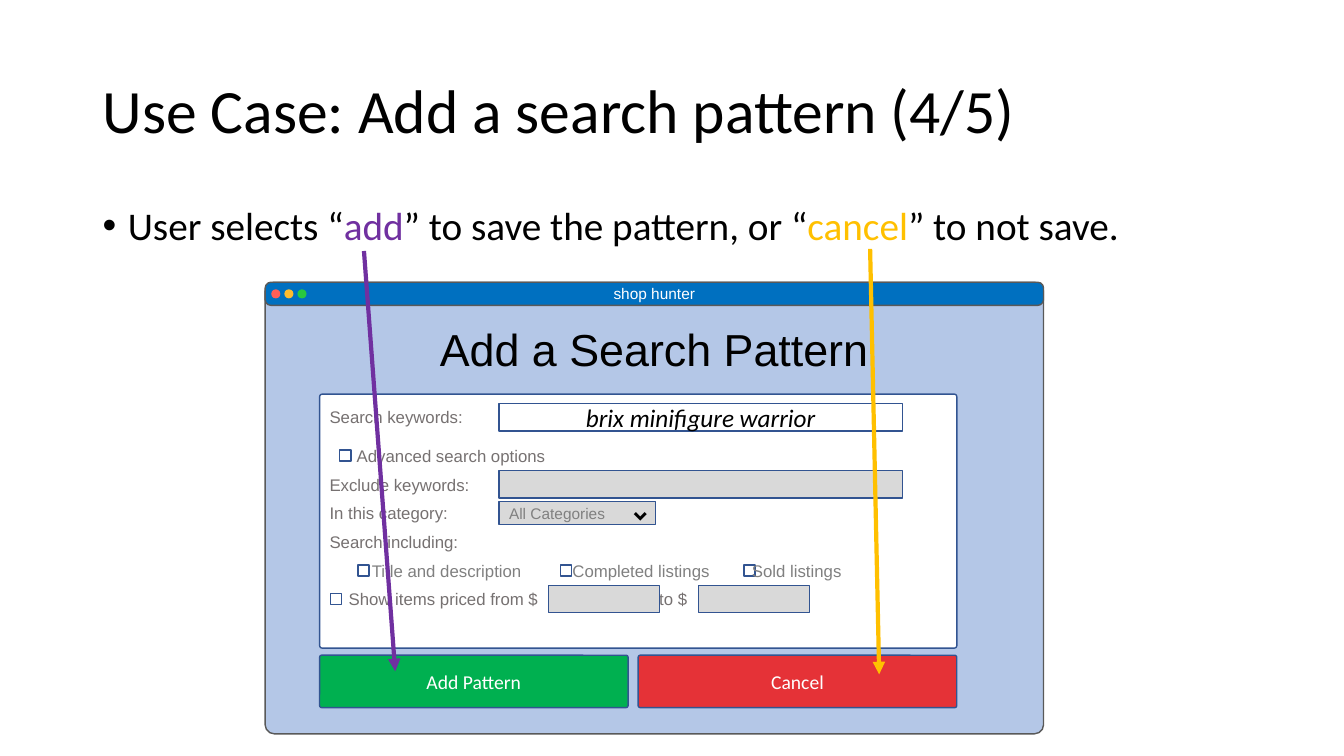
from dataclasses import dataclass

from pptx import Presentation
from pptx import util as u
from pptx.dml.color import RGBColor
from pptx.enum import shapes, text
from pptx.oxml.ns import qn
from lxml import etree

RECT = shapes.MSO_SHAPE.RECTANGLE
ROUND = shapes.MSO_SHAPE.ROUNDED_RECTANGLE
OVAL = shapes.MSO_SHAPE.OVAL
MID, TOP = text.MSO_ANCHOR.MIDDLE, text.MSO_ANCHOR.TOP
LEFT, CENTER = text.PP_ALIGN.LEFT, text.PP_ALIGN.CENTER


@dataclass
class Theme:
    # Colours
    black: str = "000000"
    white: str = "FFFFFF"
    violet: str = "7030A0"
    amber: str = "FFC000"
    pane: str = "B4C7E7"
    bar: str = "0070C0"
    frame: str = "595959"
    edge: str = "325491"
    green: str = "00B050"
    red: str = "E53237"
    off: str = "D9D9D9"
    label: str = "767171"
    hint: str = "808080"
    dots: tuple = ("FF5F57", "FFBC2E", "28C840")
    # Type
    main: str = "Calibri"
    form: str = "Arial"
    title: int = 44
    body: int = 28
    head: int = 32
    entry: int = 18
    button: int = 14
    field: int = 12
    small: int = 11


def cell(n):
    """Length of n grid cells; ten cells make an inch."""
    return u.Inches(n / 10)


def write(frame, runs, size, color, font="Calibri", align=LEFT, anchor=MID,
          italic=False, lead=None, bullet=False):
    """Fill a text frame with one paragraph; runs are text or (text, colour)."""
    frame.word_wrap = True
    frame.vertical_anchor = anchor
    frame.margin_left = frame.margin_right = cell(1)
    frame.margin_top = frame.margin_bottom = 0
    para = frame.paragraphs[0]
    para.alignment = align
    if lead:
        para.line_spacing = lead
    if bullet:
        props = para._p.get_or_add_pPr()
        props.set("marL", str(cell(2.5)))
        props.set("indent", str(-cell(2.5)))
        etree.SubElement(props, qn("a:buFont")).set("typeface", "Arial")
        etree.SubElement(props, qn("a:buChar")).set("char", "•")
    for part in [runs] if isinstance(runs, str) else runs:
        words, tint = (part, color) if isinstance(part, str) else part
        run = para.add_run()
        run.text = words
        run.font.size = u.Pt(size)
        run.font.name = font
        run.font.italic = italic
        run.font.color.rgb = RGBColor.from_string(tint)


class Board:
    def __init__(self, slide, theme):
        self.slide, self.theme = slide, theme

    def text(self, x, y, w, h, runs, **style):
        box = self.slide.shapes.add_textbox(*map(cell, (x, y, w, h)))
        write(box.text_frame, runs, **style)

    def label(self, x, mid, words, color=None):
        look = self.theme
        self.text(x - 1, mid - 1.2, 25, 2.4, words, size=look.field,
                  color=color or look.label, font=look.form)

    def shape(self, kind, x, y, w, h, fill, edge=None, curve=None):
        item = self.slide.shapes.add_shape(kind, *map(cell, (x, y, w, h)))
        item.shadow.inherit = False
        item.fill.solid()
        item.fill.fore_color.rgb = RGBColor.from_string(fill)
        if edge:
            item.line.color.rgb = RGBColor.from_string(edge)
            item.line.width = u.Pt(1)
        else:
            item.line.fill.background()
        if curve is not None:
            item.adjustments[0] = curve
        return item

    def field(self, x, mid, w, h=2.7, fill=None):
        look = self.theme
        return self.shape(RECT, x, mid - h / 2, w, h, fill or look.off, look.edge)

    def check(self, x, mid):
        self.field(x, mid, 1.1, 1.1, self.theme.white)

    def button(self, x, w, words, fill):
        look = self.theme
        item = self.shape(ROUND, x, 65, w, 5.2, fill, look.edge, 0.04)
        write(item.text_frame, words, size=look.button, color=look.white,
              align=CENTER)

    def arrow(self, start, end, color):
        line = self.slide.shapes.add_connector(
            shapes.MSO_CONNECTOR.STRAIGHT, *map(cell, (*start, *end)))
        line.line.color.rgb = RGBColor.from_string(color)
        line.line.width = u.Pt(3)
        props = line._element.spPr
        etree.SubElement(props.find(qn("a:ln")), qn("a:tailEnd")).set("type", "triangle")
        etree.SubElement(props, qn("a:effectLst"))


def main():
    deck = Presentation()
    deck.slide_width, deck.slide_height = u.Inches(13.33), u.Inches(7.5)
    look = Theme()
    board = Board(deck.slides.add_slide(deck.slide_layouts[6]), look)

    # Title and bullet
    board.text(9.2, 4, 115, 14.5, "Use Case: Add a search pattern (4/5)",
               size=look.title, color=look.black, lead=0.9)
    board.text(9.2, 20.5, 106.7, 6,
               ["User selects “", ("add", look.violet),
                "” to save the pattern, or “", ("cancel", look.amber),
                "” to not save."],
               size=look.body, color=look.black, anchor=TOP, lead=0.9, bullet=True)

    # Window
    left, top, wide = 26.3, 28, 77.2
    board.shape(ROUND, left, top, wide, 44.8, look.pane, look.frame, 0.02)
    board.shape(ROUND, left, top, wide, 2.3, look.bar, look.frame, 0.25)
    for i, color in enumerate(look.dots):
        board.shape(OVAL, left + 0.6 + 1.3 * i, top + 0.7, 0.9, 0.9, color)
    board.text(left, top, wide, 2.3, "shop hunter", size=look.small,
               color=look.white, font=look.form, align=CENTER)
    board.text(left, 31.4, wide, 6.4, "Add a Search Pattern", size=look.head,
               color=look.black, font=look.form, align=CENTER)

    # Buttons and form panel
    board.button(31.7, 30.6, "Add Pattern", look.green)
    board.button(63.3, 31.6, "Cancel", look.red)
    board.shape(ROUND, 31.7, 39.1, 63.2, 25.2, look.white, look.edge, 0.01)

    # Keyword row, then six evenly spaced rows
    edge, entry = 32.7, 49.5
    key = 41.4
    more, skip, group, scope, kinds, price = (45.2 + 2.85 * i for i in range(6))
    board.label(edge, key, "Search keywords:")
    words = board.field(entry, key, 40, fill=look.white)
    write(words.text_frame, "brix minifigure warrior", size=look.entry,
          color=look.black, align=CENTER, italic=True)

    board.check(33.7, more)
    board.label(35.4, more, "Advanced search options")
    board.label(edge, skip, "Exclude keywords:")
    board.field(entry, skip, 40)

    board.label(edge, group, "In this category:")
    menu = board.field(entry, group, 15.5, 2.3)
    write(menu.text_frame, "All Categories", size=look.small,
          color=look.hint, font=look.form)
    board.text(61.6, 44.4, 4.1, 7.4, "˯", size=look.title, color=look.black,
               anchor=TOP)

    board.label(edge, scope, "Search including:")
    for box, x, name in [(35.5, 36.9, "Title and description"),
                         (55.6, 56.8, "Completed listings"),
                         (73.8, 74.6, "Sold listings")]:
        board.check(box, kinds)
        board.label(x, kinds, name, look.hint)

    board.check(32.8, price)
    board.label(34.6, price, "Show items priced from $")
    board.label(65.4, price, "to $")
    for x in (54.4, 69.3):
        board.field(x, price, 11)

    # Arrows from the words to the buttons
    board.arrow((86.3, 24.7), (87.2, 66.9), look.amber)
    board.arrow((36.1, 24.9), (39.2, 66.6), look.violet)

    deck.save("out.pptx")


if __name__ == "__main__":
    main()
